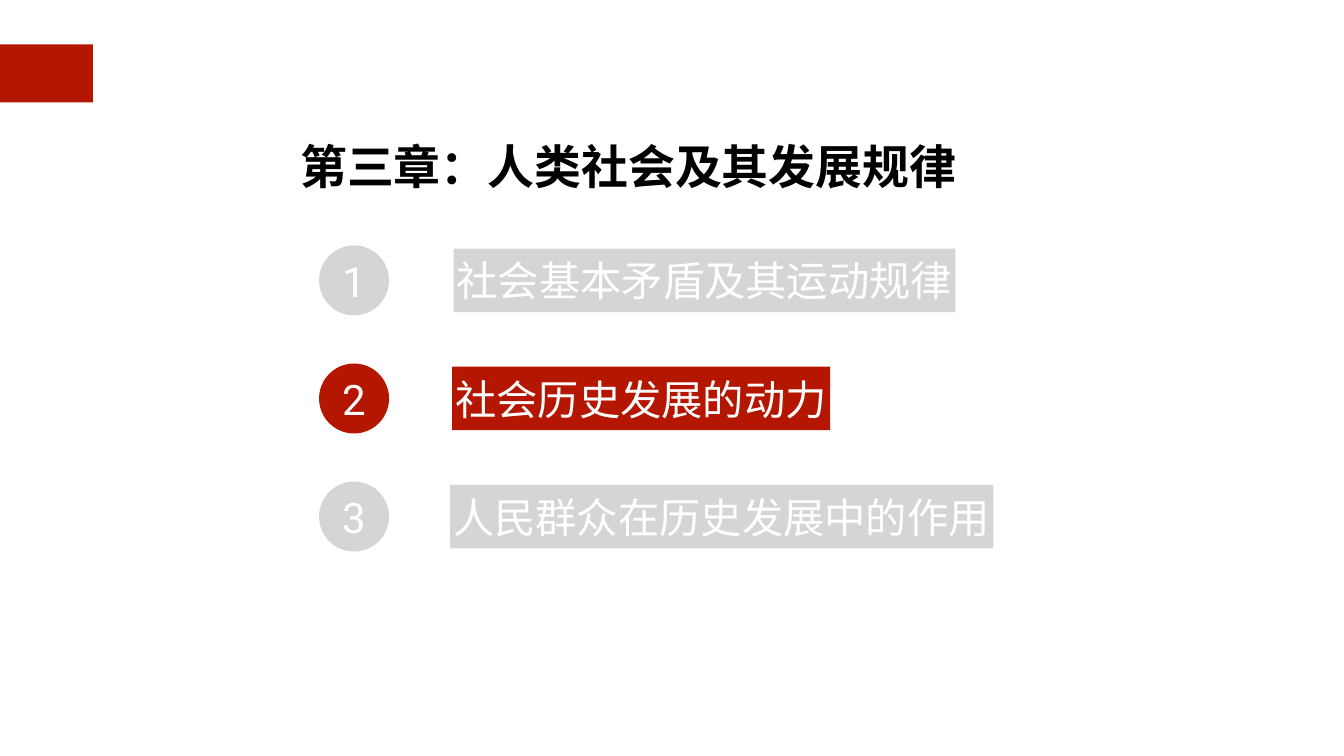
"""Build a chapter outline slide with the second section highlighted."""
from pptx import Presentation
from pptx.dml.color import RGBColor
from pptx.enum.shapes import MSO_SHAPE as Shape
from pptx.enum.text import MSO_ANCHOR as Anchor, MSO_AUTO_SIZE as AutoSize, PP_ALIGN as Align
from pptx.util import Pt

RED = RGBColor(0xB5, 0x16, 0x00)
GREY = RGBColor(0xD5, 0xD5, 0xD5)
WHITE = RGBColor(0xFF, 0xFF, 0xFF)
BLACK = RGBColor(0x00, 0x00, 0x00)

TITLE = "第三章：人类社会及其发展规律"
SECTIONS = [
    ("社会基本矛盾及其运动规律", 648, 717, GREY),
    ("社会历史发展的动力", 646, 540, RED),
    ("人民群众在历史发展中的作用", 643, 776, GREY),
]
FIRST_TOP = 350.6
ROW_PITCH = 168.7
CIRCLE_LEFT = 455.8
CIRCLE_SIZE = 100
LABEL_HEIGHT = 90.7


def apply(target, values):
    for name, value in values.items():
        setattr(target, name, value)


class OutlineSlide:
    def __init__(self, page):
        self.page = page
        self.title_font = {"name": "Arial", "size": Pt(67), "bold": True}
        self.label_font = {"name": "Roboto", "size": Pt(59)}
        self.number_font = {"name": "Roboto", "size": Pt(60)}

    def put_text(self, box, text, font, color, align, inset, fit):
        frame = box.text_frame
        apply(frame, {
            "vertical_anchor": Anchor.MIDDLE,
            "word_wrap": not fit,
            "auto_size": AutoSize.SHAPE_TO_FIT_TEXT if fit else AutoSize.NONE,
        })
        sides = ("left", "top", "right", "bottom")
        apply(frame, {f"margin_{side}": Pt(inset) for side in sides})
        para = frame.paragraphs[0]
        para.alignment = align
        span = para.add_run()
        span.text = text
        apply(span.font, font)
        span.font.color.rgb = color
        return para

    def block(self, kind, left, top, width, height, color):
        box = self.page.shapes.add_shape(kind, Pt(left), Pt(top), Pt(width), Pt(height))
        box.shadow.inherit = False
        box.fill.solid()
        box.fill.fore_color.rgb = color
        box.line.fill.background()
        return box

    def title(self, text, left, top, width, height):
        box = self.page.shapes.title
        apply(box, {"left": Pt(left), "top": Pt(top), "width": Pt(width), "height": Pt(height)})
        para = self.put_text(box, text, self.title_font, BLACK, Align.LEFT, 4, True)
        para.line_spacing = 1.5

    def number(self, text, top, color):
        box = self.block(Shape.OVAL, CIRCLE_LEFT, top, CIRCLE_SIZE, CIRCLE_SIZE, color)
        self.put_text(box, text, self.number_font, WHITE, Align.CENTER, 0, False)

    def label(self, text, left, top, width, color):
        box = self.block(Shape.RECTANGLE, left, top, width, LABEL_HEIGHT, color)
        self.put_text(box, text, self.label_font, WHITE, Align.CENTER, 4, True)


def main():
    deck = Presentation()
    apply(deck, {"slide_width": Pt(1920), "slide_height": Pt(1080)})
    slide = OutlineSlide(deck.slides.add_slide(deck.slide_layouts[5]))
    slide.block(Shape.RECTANGLE, -2, 63.4, 134.6, 82.8, RED)
    slide.title(TITLE, 424.8, 165.6, 946.8, 102.2)
    for index, (text, left, width, color) in enumerate(SECTIONS):
        top = FIRST_TOP + index * ROW_PITCH
        slide.number(str(index + 1), top, color)
        slide.label(text, left, top + (CIRCLE_SIZE - LABEL_HEIGHT) / 2, width, color)
    deck.save("out.pptx")


if __name__ == "__main__":
    main()
